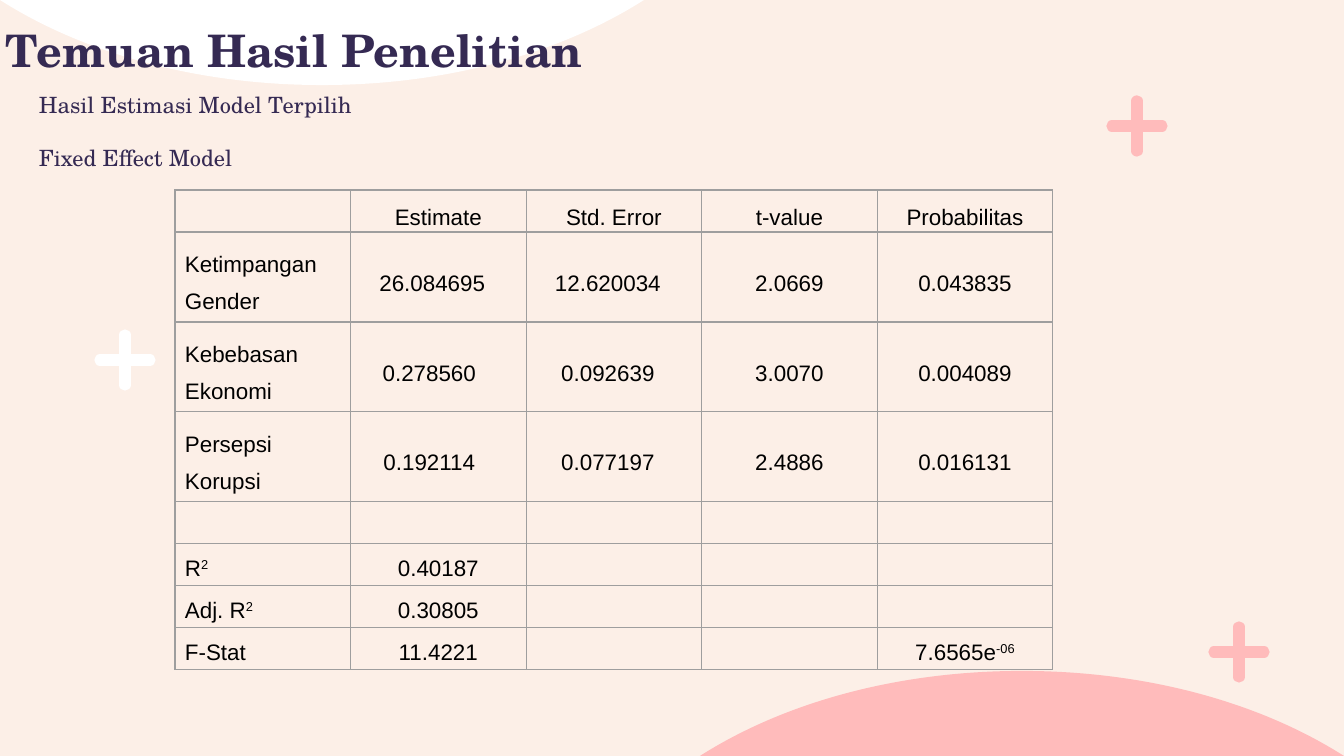
from dataclasses import dataclass

from lxml import etree
from pptx import Presentation
from pptx.dml.color import RGBColor
from pptx.enum.shapes import MSO_CONNECTOR
from pptx.enum.text import MSO_ANCHOR, PP_ALIGN
from pptx.oxml.ns import qn
from pptx.slide import Slide
from pptx.table import _Cell
from pptx.text.text import _Paragraph
from pptx.util import Emu, Pt

EMU_PER_PX = 914400 / 134.4
STRAIGHT = MSO_CONNECTOR.STRAIGHT
MIDDLE, TOP = MSO_ANCHOR.MIDDLE, MSO_ANCHOR.TOP
LEFT, CENTER = PP_ALIGN.LEFT, PP_ALIGN.CENTER

COLORS = {
    "cream": "FCEFE7",
    "white": "FFFFFF",
    "pink": "FFBBBB",
    "navy": "352A53",
    "black": "000000",
    "gray": "9E9E9E",
}
SERIF, SANS = "TeX Gyre Schola", "Arial"

HILL_WIDTH, HILL_HEIGHT = 756, 258
# Bezier points of the left half of a hill, from its shoulder to its summit
HILL_CURVE = ((0, 128), (84, 50), (221, 0), (378, 0))
PLUS_ARM = 25

COLUMN_COUNT, TABLE_WIDTH = 5, 878
SHORT_ROW, TALL_ROW = 42, 90
CELL_MARGIN = 10


@dataclass(frozen=True)
class Hill:
    left: int
    top: int
    hanging: bool
    color: str


@dataclass(frozen=True)
class Plus:
    x: int
    y: int
    color: str


@dataclass(frozen=True)
class TextBlock:
    left: int
    top: int
    width: int
    height: int
    lines: tuple[str, ...]
    size: int
    bold: bool = False
    gap: int = 0


@dataclass(frozen=True)
class Row:
    texts: tuple[str, ...]  # "^" starts a superscript
    height: int = SHORT_ROW
    anchor: MSO_ANCHOR = TOP
    shifts: tuple[int, ...] = (0,) * COLUMN_COUNT  # extra right margin


HILLS = (Hill(-56, -173, True, "white"), Hill(644, 671, False, "pink"))
PLUSES = (Plus(1137, 126, "pink"), Plus(1239, 652, "pink"), Plus(125, 360, "white"))
TEXT_BLOCKS = (
    TextBlock(-7, 22, 732, 55, ("Temuan Hasil Penelitian",), 24, bold=True),
    TextBlock(26, 104, 402, 55,
              ("Hasil Estimasi Model Terpilih", "Fixed Effect Model"), 12, gap=14),
)
ROWS = (
    Row(("", "Estimate", "Std. Error", "t-value", "Probabilitas"), anchor=MIDDLE),
    Row(("Ketimpangan Gender", "26.084695", "12.620034", "2.0669", "0.043835"),
        TALL_ROW, MIDDLE, (0, 12, 12, 0, 0)),
    Row(("Kebebasan Ekonomi", "0.278560", "0.092639", "3.0070", "0.004089"),
        TALL_ROW, MIDDLE, (0, 18, 12, 0, 0)),
    Row(("Persepsi Korupsi", "0.192114", "0.077197", "2.4886", "0.016131"),
        TALL_ROW, MIDDLE, (0, 18, 12, 0, 0)),
    Row(("", "", "", "", "")),
    Row(("R^2", "0.40187", "", "", "")),
    Row(("Adj. R^2", "0.30805", "", "", "")),
    Row(("F-Stat", "11.4221", "", "", "7.6565e^-06")),
)


def px(length: int) -> Emu:
    return Emu(round(length * EMU_PER_PX))


def rgb(name: str) -> RGBColor:
    return RGBColor.from_string(COLORS[name])


def style_paragraph(paragraph: _Paragraph, font: str, size: int, color: str,
                    bold: bool = False) -> None:
    paragraph.font.name = font
    paragraph.font.size = Pt(size)
    paragraph.font.bold = bold
    paragraph.font.color.rgb = rgb(color)


def draw_hill(slide: Slide, hill: Hill) -> None:
    """Draw straight sides, then bend the first two into Bezier curves."""
    mirrored = [(HILL_WIDTH - x, y) for x, y in reversed(HILL_CURVE)]
    base = [(HILL_WIDTH, HILL_HEIGHT), (0, HILL_HEIGHT)]
    outline = [(x, HILL_HEIGHT - y if hill.hanging else y)
               for x, y in [*HILL_CURVE, *mirrored[1:], *base]]
    corners = [(hill.left + x, hill.top + y) for x, y in (outline[0], outline[3], *outline[6:])]
    builder = slide.shapes.build_freeform(*corners[0], scale=EMU_PER_PX)
    builder.add_line_segments(corners[1:], close=True)
    shape = builder.convert_to_shape()
    sides = list(shape._element.iter(qn("a:lnTo")))
    for side, curve in zip(sides, (outline[1:4], outline[4:7])):
        side.tag = qn("a:cubicBezTo")
        side.clear()
        for x, y in curve:
            etree.SubElement(side, qn("a:pt"), x=str(x), y=str(y))
    shape.shadow.inherit = False
    shape.fill.solid()
    shape.fill.fore_color.rgb = rgb(hill.color)
    shape.line.fill.background()


def draw_plus(slide: Slide, plus: Plus) -> None:
    for dx, dy in ((0, PLUS_ARM), (PLUS_ARM, 0)):
        bar = slide.shapes.add_connector(
            STRAIGHT, px(plus.x - dx), px(plus.y - dy), px(plus.x + dx), px(plus.y + dy))
        bar.line.color.rgb = rgb(plus.color)
        bar.line.width = Pt(6)
        bar.line._get_or_add_ln().set("cap", "rnd")
        etree.SubElement(bar._element.spPr, qn("a:effectLst"))


def draw_text(slide: Slide, block: TextBlock) -> None:
    box = slide.shapes.add_textbox(
        px(block.left), px(block.top), px(block.width), px(block.height))
    frame = box.text_frame
    frame.word_wrap = True
    frame.vertical_anchor = MIDDLE
    frame.margin_left = frame.margin_right = px(13)
    frame.margin_top = frame.margin_bottom = px(13)
    frame.text = "\n".join(block.lines)
    for index, paragraph in enumerate(frame.paragraphs):
        style_paragraph(paragraph, SERIF, block.size, "navy", block.bold)
        if index:
            paragraph.space_before = Pt(block.gap)


def add_borders(cell: _Cell) -> None:
    properties = cell._tc.get_or_add_tcPr()
    for side in ("lnL", "lnR", "lnT", "lnB"):
        border = etree.SubElement(properties, qn(f"a:{side}"), w=str(Pt(0.75)))
        fill = etree.SubElement(border, qn("a:solidFill"))
        etree.SubElement(fill, qn("a:srgbClr"), val=COLORS["gray"])


def fill_cell(cell: _Cell, text: str, anchor: MSO_ANCHOR, alignment: PP_ALIGN,
              shift: int) -> None:
    add_borders(cell)
    cell.fill.background()
    cell.vertical_anchor = anchor
    cell.margin_left = px(CELL_MARGIN)
    cell.margin_right = px(CELL_MARGIN + shift)
    cell.margin_top = cell.margin_bottom = 0
    if not text:
        return
    paragraph = cell.text_frame.paragraphs[0]
    style_paragraph(paragraph, SANS, 12, "black")
    paragraph.alignment = alignment
    paragraph.line_spacing = 1.5
    paragraph.space_after = Pt(10)
    for index, part in enumerate(text.split("^")):
        run = paragraph.add_run()
        run.text = part
        if index:
            run._r.get_or_add_rPr().set("baseline", "30000")


def draw_table(slide: Slide, left: int, top: int, rows: tuple[Row, ...]) -> None:
    table = slide.shapes.add_table(
        len(rows), COLUMN_COUNT, px(left), px(top), px(TABLE_WIDTH),
        px(sum(row.height for row in rows))).table
    table.first_row = table.horz_banding = False
    for column in table.columns:
        column.width = px(TABLE_WIDTH) // COLUMN_COUNT
    for row_index, row in enumerate(rows):
        table.rows[row_index].height = px(row.height)
        for column_index, (text, shift) in enumerate(zip(row.texts, row.shifts)):
            alignment = CENTER if column_index else LEFT
            fill_cell(table.cell(row_index, column_index), text, row.anchor, alignment, shift)


def main() -> None:
    presentation = Presentation()
    presentation.slide_width, presentation.slide_height = px(1344), px(756)
    slide = presentation.slides.add_slide(presentation.slide_layouts[6])
    slide.background.fill.solid()
    slide.background.fill.fore_color.rgb = rgb("cream")
    for hill in HILLS:
        draw_hill(slide, hill)
    for plus in PLUSES:
        draw_plus(slide, plus)
    for block in TEXT_BLOCKS:
        draw_text(slide, block)
    draw_table(slide, 175, 190, ROWS)
    presentation.save("out.pptx")


if __name__ == "__main__":
    main()
